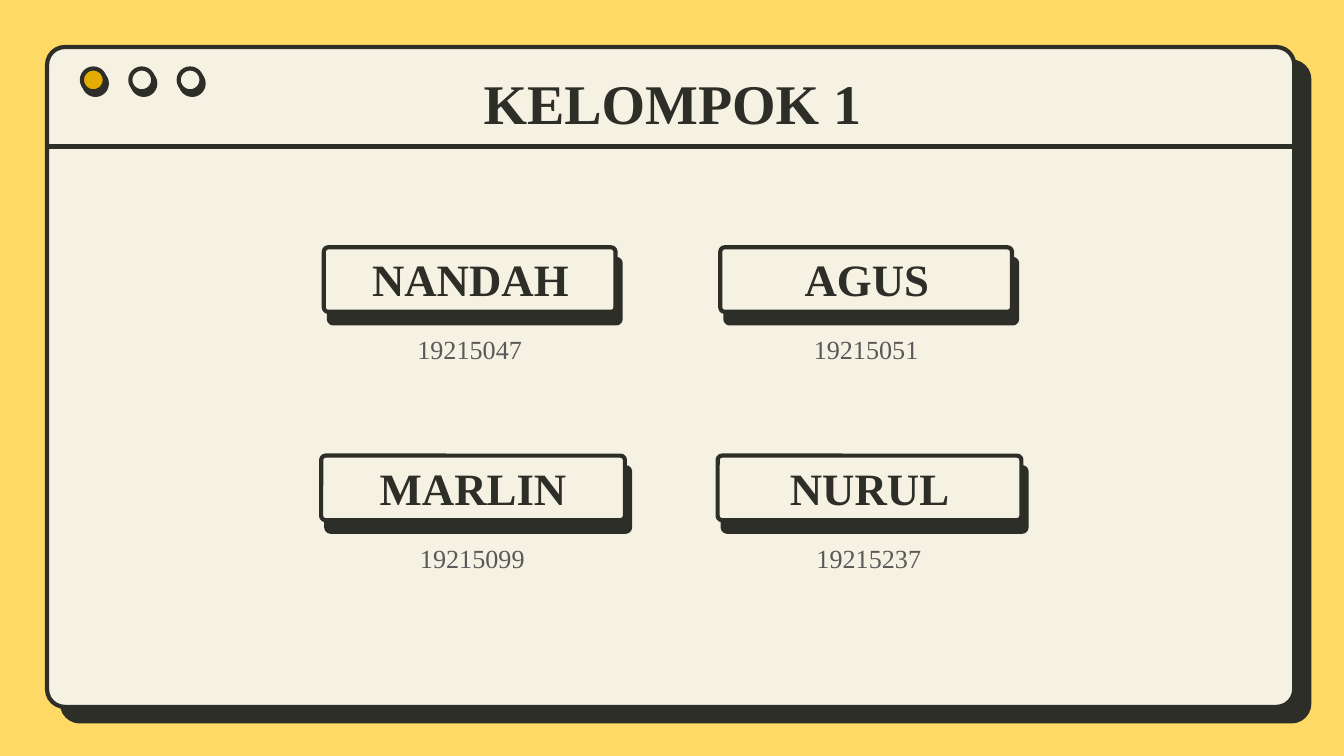
from lxml.etree import SubElement
from pptx import Presentation
from pptx.dml.color import RGBColor
from pptx.enum.shapes import MSO_CONNECTOR, MSO_SHAPE
from pptx.enum.text import MSO_ANCHOR, PP_ALIGN
from pptx.oxml.ns import qn
from pptx.util import Inches, Pt

# Content
TITLE = "KELOMPOK 1"
ROWS = [
    [("NANDAH", "19215047"), ("AGUS", "19215051")],
    [("MARLIN", "19215099"), ("NURUL", "19215237")],
]

# Look
FONT = "Times New Roman"
DARK, CREAM, GOLD, GREY, YELLOW = "2D2E27", "F6F2E3", "E4AB00", "595959", "FFD966"

# Grid: box left, top and width, text left and top of each row; column step
GRID = [(2.41, 1.84, 2.17, 2.41, 1.78), (2.39, 3.39, 2.26, 2.43, 3.34)]
STEP = 2.95


def color(code):
    return RGBColor.from_string(code)


def place(shape, x, y, w, h):
    shape.left, shape.top = Inches(x), Inches(y)
    shape.width, shape.height = Inches(w), Inches(h)


def draw(slide, kind, box, fill, dist, angle, round_by=None):
    """Outlined shape with a hard offset shadow."""
    shape = slide.shapes.add_shape(kind, *map(Inches, box))
    if round_by is not None:
        shape.adjustments[0] = round_by
    shape.fill.solid()
    shape.fill.fore_color.rgb = color(fill)
    shape.line.color.rgb = color(DARK)
    shape.line.width = Pt(2.25)
    shape.shadow.inherit = False
    effects = shape.element.spPr.find(qn("a:effectLst"))
    shadow = SubElement(effects, qn("a:outerShdw"), dist=str(Pt(dist)),
                        dir=str(angle * 60000), algn="bl", rotWithShape="0")
    SubElement(shadow, qn("a:srgbClr"), val=DARK)


def write(shape, text, size, ink, bold=False, anchor=MSO_ANCHOR.MIDDLE):
    frame = shape.text_frame
    frame.text = text
    frame.word_wrap = True
    frame.vertical_anchor = anchor
    frame.margin_left = frame.margin_right = Inches(0.1)
    frame.margin_top = frame.margin_bottom = Inches(0.1)
    para = frame.paragraphs[0]
    para.alignment = PP_ALIGN.CENTER
    font = para.runs[0].font
    font.name, font.size, font.bold = FONT, Pt(size), bold
    font.color.rgb = color(ink)


def label(slide, box, text, size, ink, bold=False):
    write(slide.shapes.add_textbox(*map(Inches, box)), text, size, ink, bold)


def main():
    # Widescreen 16:9 slide
    deck = Presentation()
    deck.slide_width = Inches(10)
    deck.slide_height = Inches(10) * 9 // 16
    slide = deck.slides.add_slide(deck.slide_layouts[5])
    back = slide.background.fill
    back.solid()
    back.fore_color.rgb = color(YELLOW)

    # Window frame and title bar
    draw(slide, MSO_SHAPE.ROUNDED_RECTANGLE, (0.35, 0.35, 9.28, 4.91), CREAM, 11.2, 44, 0.027)
    rule = slide.shapes.add_connector(
        MSO_CONNECTOR.STRAIGHT, Inches(9.64), Inches(1.09), Inches(0.36), Inches(1.09))
    rule.line.color.rgb = color(DARK)
    rule.line.width = Pt(2.25)
    SubElement(rule.element.spPr, qn("a:effectLst"))

    # Window buttons
    for i, fill in enumerate([GOLD, CREAM, CREAM]):
        draw(slide, MSO_SHAPE.OVAL, (0.61 + 0.36 * i, 0.51, 0.17, 0.17), fill, 2.2, 60)

    # Title, moved in front of the frame
    title = slide.shapes.title
    place(title, 0.79, 0.58, 8.43, 0.53)
    write(title, TITLE, 30, DARK, True, MSO_ANCHOR.BOTTOM)
    slide.shapes.element.append(title.element)

    # Member cards
    for row, (left, top, wide, text_x, text_y) in zip(ROWS, GRID):
        for i, (name, code) in enumerate(row):
            dx = STEP * i
            draw(slide, MSO_SHAPE.ROUNDED_RECTANGLE, (left + dx, top, wide, 0.48),
                 CREAM, 6.8, 66, 0.067)
            label(slide, (text_x + 0.14 + dx, text_y, 1.9, 0.58), name, 24, DARK, True)
            label(slide, (text_x + dx, text_y + 0.55, 2.17, 0.53), code, 14, GREY)

    deck.save("out.pptx")


if __name__ == "__main__":
    main()
